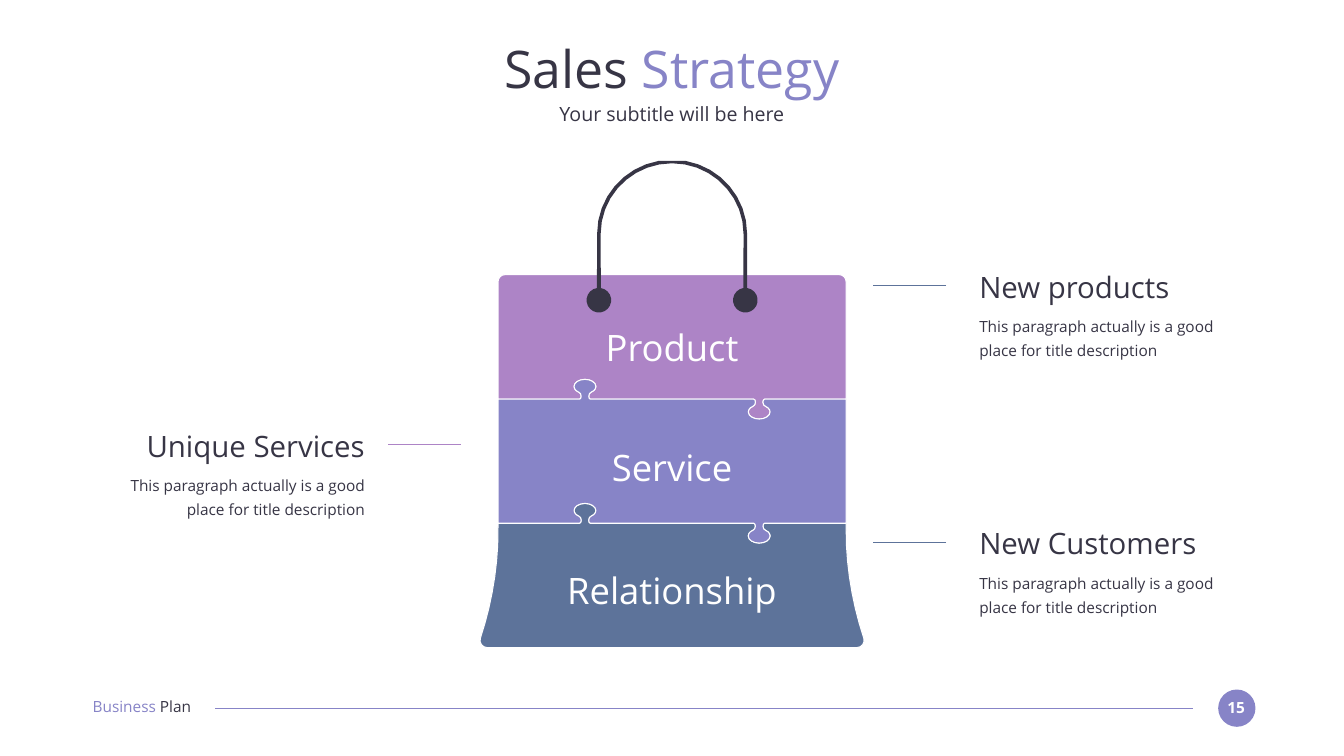
from dataclasses import dataclass
from math import cos, radians, sin

from lxml import etree
from pptx import Presentation
from pptx.dml.color import RGBColor
from pptx.enum.shapes import MSO_CONNECTOR, MSO_SHAPE
from pptx.enum.text import PP_ALIGN as Align
from pptx.oxml.ns import qn
from pptx.util import Cm, Pt


@dataclass(frozen=True)
class Theme:
    font: str = "Open Sans"
    dark: RGBColor = RGBColor.from_string("373545")
    white: RGBColor = RGBColor.from_string("FFFFFF")
    violet: RGBColor = RGBColor.from_string("8784C7")
    orchid: RGBColor = RGBColor.from_string("AD84C6")
    steel: RGBColor = RGBColor.from_string("5D739A")
    title: Pt = Pt(74)
    band: Pt = Pt(52)
    heading: Pt = Pt(42)
    subtitle: Pt = Pt(28)
    body: Pt = Pt(22)
    line: Pt = Pt(1.5)


theme = Theme()
prs = Presentation()
prs.slide_width, prs.slide_height = Cm(67.73), Cm(38.1)
slide = prs.slides.add_slide(prs.slide_layouts[6])
shapes = slide.shapes


def add_text(box, runs, size, align=Align.LEFT, bold=False, spacing=None):
    """Place a text box at box (cm) from a list of (text, colour) runs."""
    frame = shapes.add_textbox(*map(Cm, box)).text_frame
    frame.word_wrap = True
    frame.margin_left = frame.margin_right = 0
    frame.margin_top = frame.margin_bottom = 0
    paragraph = frame.paragraphs[0]
    paragraph.alignment = align
    paragraph.line_spacing = spacing
    paragraph.font.name, paragraph.font.size = theme.font, size
    paragraph.font.bold = bold
    for text, color in runs:
        run = paragraph.add_run()
        run.text = text
        run.font.color.rgb = color


def bezier(p0, p1, p2, p3, steps):
    """Sample a cubic curve as a list of points, leaving out its start."""
    points = []
    for i in range(1, steps + 1):
        t = i / steps
        weights = (1 - t) ** 3, 3 * t * (1 - t) ** 2, 3 * t * t * (1 - t), t ** 3
        points.append(tuple(sum(w * p[axis] for w, p in zip(weights, (p0, p1, p2, p3)))
                            for axis in (0, 1)))
    return points


# Footer
page_badge = shapes.add_shape(MSO_SHAPE.OVAL, Cm(61.39), Cm(34.75), Cm(1.88), Cm(1.88))
page_badge.shadow.inherit = False
page_badge.fill.solid()
page_badge.fill.fore_color.rgb = theme.violet
page_badge.line.fill.background()
add_text((61.54, 35.18, 1.5, 0.94), [("15", theme.white)], theme.body, Align.CENTER, bold=True)
add_text((4.67, 35.15, 6.58, 0.94), [("Business ", theme.violet), ("Plan", theme.dark)], theme.body)

# Title
add_text((4.65, 1.85, 58.42, 3.23), [("Sales ", theme.dark), ("Strategy", theme.violet)],
         theme.title, Align.CENTER)
add_text((4.65, 5.16, 58.42, 1.24), [("Your subtitle will be here", theme.dark)],
         theme.subtitle, Align.CENTER)

# Bag: the outlines are symmetric, so x is measured from the centre line
center, half_width, knob_x = 33.87, 8.77, 4.39
bag_top, bag_bottom = 13.84, 32.64

# Right half of a puzzle knob, from its neck to its tip
half_knob = ([(0.27, 0)]
             + bezier((0.27, 0), (0.22, 0), (0.19, 0.08), (0.19, 0.15), 2)
             + bezier((0.19, 0.15), (0.19, 0.25), (0.24, 0.33), (0.32, 0.36), 2)
             + bezier((0.32, 0.36), (0.46, 0.41), (0.55, 0.53), (0.55, 0.64), 3)
             + bezier((0.55, 0.64), (0.55, 0.84), (0.3, 1), (0, 1), 4))
knob = [(-x, y) for x, y in half_knob] + half_knob[-2::-1]

upper_seam, lower_seam = [
    [(-half_width, seam_y)]
    + [(x - knob_x, seam_y - y) for x, y in knob]
    + [(x + knob_x, seam_y + y) for x, y in knob]
    + [(half_width, seam_y)]
    for seam_y in (20.12, 26.37)]

top_corner = [(half_width - 0.36, bag_top)] + bezier(
    (half_width - 0.36, bag_top), (half_width - 0.16, bag_top),
    (half_width, bag_top + 0.16), (half_width, bag_top + 0.36), 4)
flared_side = (bezier((half_width, 26.7), (half_width, 28.55), (9.08, 30.4), (9.66, 32.16), 7)
               + bezier((9.66, 32.16), (9.74, 32.39), (9.56, bag_bottom), (9.31, bag_bottom), 4))
handle_side = (bezier((0, 8.05), (2.1, 8.05), (3.78, 9.73), (3.78, 11.79), 9)
               + [(3.69 + 0.62 * cos(radians(a)), 15.13 + 0.62 * sin(radians(a)))
                  for a in range(-81, 262, 18)]
               + [(3.6, 11.79)]
               + bezier((3.6, 11.79), (3.6, 9.83), (1.98, 8.23), (0, 8.23), 9))
# The flare runs downwards, so its mirror image closes the bag from below
top_corners, flared_sides, handle = [
    side + [(-x, y) for x, y in reversed(side)]
    for side in (top_corner[::-1], flared_side, handle_side)]

for outline, color, edge in (
        (lower_seam + flared_sides, theme.steel, theme.white),
        (upper_seam + top_corners, theme.orchid, theme.white),
        (upper_seam + lower_seam[::-1], theme.violet, theme.white),
        (handle, theme.dark, None)):
    points = [(Cm(center + x), Cm(y)) for x, y in outline]
    builder = shapes.build_freeform(*points[0])
    builder.add_line_segments(points[1:], close=True)
    part = builder.convert_to_shape()
    part.shadow.inherit = False
    part.fill.solid()
    part.fill.fore_color.rgb = color
    if edge is None:
        part.line.fill.background()
    else:
        part.line.color.rgb = edge
        part.line.width = theme.line

for band, top in (("Product", 16.38), ("Service", 22.43), ("Relationship", 28.65)):
    add_text((27.18, top, 13.38, 2.24), [(band, theme.white)], theme.band, Align.CENTER)

# Callouts
description = "This paragraph actually is a good place for title description"
rules = [(60.12, 10.85, 35.69, theme.violet)]
for heading, left, top, align, rule_right, color in (
        ("Unique Services", 4.65, 21.56, Align.RIGHT, 23.22, theme.orchid),
        ("New Customers", 49.35, 26.47, Align.LEFT, 47.68, theme.steel),
        ("New products", 49.35, 13.54, Align.LEFT, 47.68, theme.steel)):
    add_text((left, top, 13.74, 1.8), [(heading, theme.dark)], theme.heading, align)
    add_text((left, top + 2.16, 13.74, 2.34), [(description, theme.dark)], theme.body, align,
             spacing=1.3)
    rules.append((rule_right, rule_right - 3.66, top + 0.86, color))

for start, end, y, color in rules:
    rule = shapes.add_connector(MSO_CONNECTOR.STRAIGHT, Cm(start), Cm(y), Cm(end), Cm(y))
    rule.line.color.rgb = color
    rule.line.width = theme.line
    etree.SubElement(rule.element.spPr, qn("a:effectLst"))

prs.save("out.pptx")
